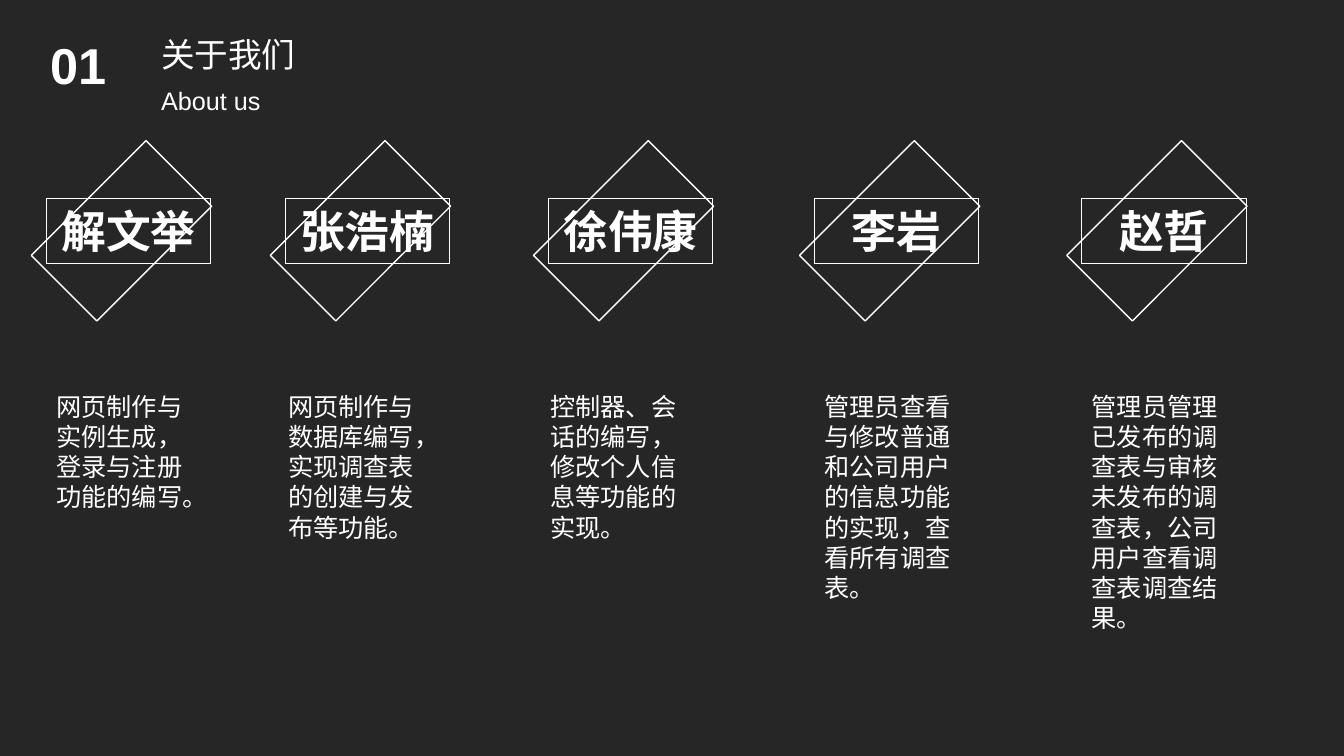
from pptx import Presentation
from pptx.dml.color import RGBColor
from pptx.enum.lang import MSO_LANGUAGE_ID
from pptx.enum.shapes import MSO_SHAPE
from pptx.enum.text import MSO_ANCHOR, PP_ALIGN
from pptx.util import Inches, Pt

RECT = MSO_SHAPE.RECTANGLE
LEFT, CENTER = PP_ALIGN.LEFT, PP_ALIGN.CENTER
TOP, MIDDLE = MSO_ANCHOR.TOP, MSO_ANCHOR.MIDDLE
CHINESE = MSO_LANGUAGE_ID.SIMPLIFIED_CHINESE

COLORS = {"background": "262626", "white": "FFFFFF"}
FONT = "Arial"

# Grid, in inches
TITLE_LEFT, TITLE_TOP = 1.5, 0.29
CARD_W, FRAME_TOP, FRAME_H = 1.63, 1.97, 0.64
TILT_DX, TILT_TOP, TILT_W, TILT_H = -0.06, 1.83, 1.61, 0.92
DUTY_TOP, LINE_H, PADDING = 3.83, 0.3, 0.1

# Name, frame left, duty left, duty lines, duty
MEMBERS = [
    ("解文举", 0.46, 0.46, 4, "网页制作与实例生成，登录与注册功能的编写。"),
    ("张浩楠", 2.83, 2.76, 5, "网页制作与数据库编写，实现调查表的创建与发布等功能。"),
    ("徐伟康", 5.44, 5.36, 5, "控制器、会话的编写，修改个人信息等功能的实现。"),
    ("李岩", 8.08, 8.08, 7,
     "管理员查看与修改普通和公司用户的信息功能的实现，查看所有调查表。"),
    ("赵哲", 10.73, 10.73, 8,
     "管理员管理已发布的调查表与审核未发布的调查表，公司用户查看调查表调查结果。"),
]


def write(sp, text, size=18, bold=False, align=LEFT, anchor=TOP):
    tf = sp.text_frame
    tf.word_wrap = True
    tf.vertical_anchor = anchor
    p = tf.paragraphs[0]
    p.alignment = align
    r = p.add_run()
    r.text = text
    r.font.name = FONT
    r.font.size = Pt(size)
    r.font.bold = bold
    r.font.language_id = CHINESE
    r.font.color.rgb = RGBColor.from_string(COLORS["white"])


def add_outline(group, box, weight):
    """Add an unfilled white rectangle to a group."""
    sp = group.shapes.add_shape(RECT, *map(Inches, box))
    sp.shadow.inherit = False
    sp.fill.background()
    sp.line.color.rgb = RGBColor.from_string(COLORS["white"])
    sp.line.width = Pt(weight)
    return sp


prs = Presentation()
prs.slide_width, prs.slide_height = Inches(13.33), Inches(7.5)
s = prs.slides.add_slide(prs.slide_layouts[6])
s.background.fill.solid()
s.background.fill.fore_color.rgb = RGBColor.from_string(COLORS["background"])

headings = [
    ("01", (0.4, TITLE_TOP, 0.94, 0.71), 36, True),
    ("关于我们", (TITLE_LEFT, TITLE_TOP, 3.33, 0.5), 24, False),
    ("About us", (TITLE_LEFT, 0.8, 3.97, 0.4), 18, False),
]
for text, box, size, bold in headings:
    write(s.shapes.add_textbox(*map(Inches, box)), text, size=size, bold=bold)

for name, frame_left, duty_left, lines, duty in MEMBERS:
    card = s.shapes.add_group_shape()
    tilted = add_outline(
        card, (frame_left + TILT_DX, TILT_TOP, TILT_W, TILT_H), 1)
    tilted.rotation = 315
    frame = add_outline(card, (frame_left, FRAME_TOP, CARD_W, FRAME_H), 0.75)
    write(frame, name, size=32, bold=True, align=CENTER, anchor=MIDDLE)

    box = (duty_left, DUTY_TOP, CARD_W, lines * LINE_H + PADDING)
    write(s.shapes.add_textbox(*map(Inches, box)), duty)

prs.save("out.pptx")
